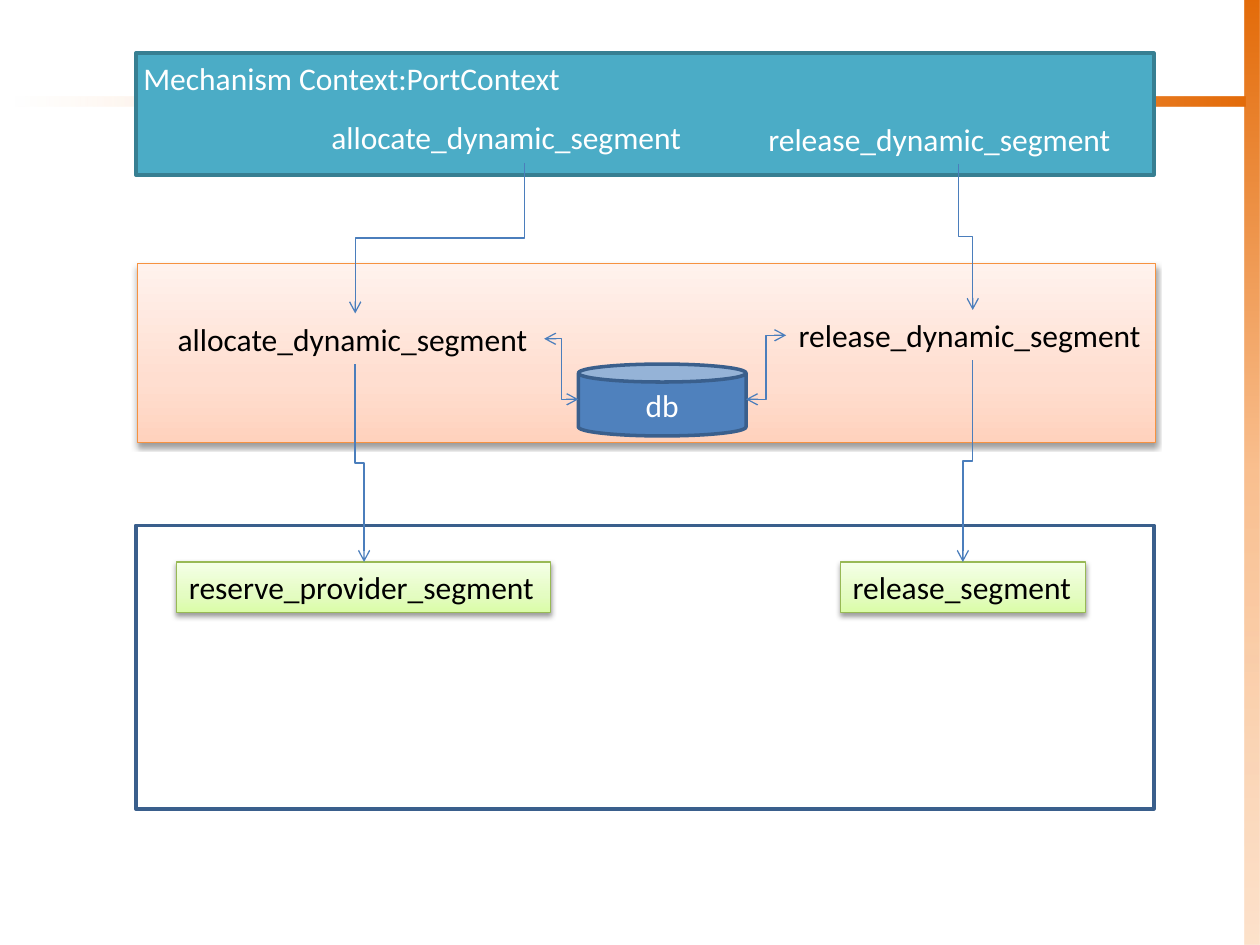
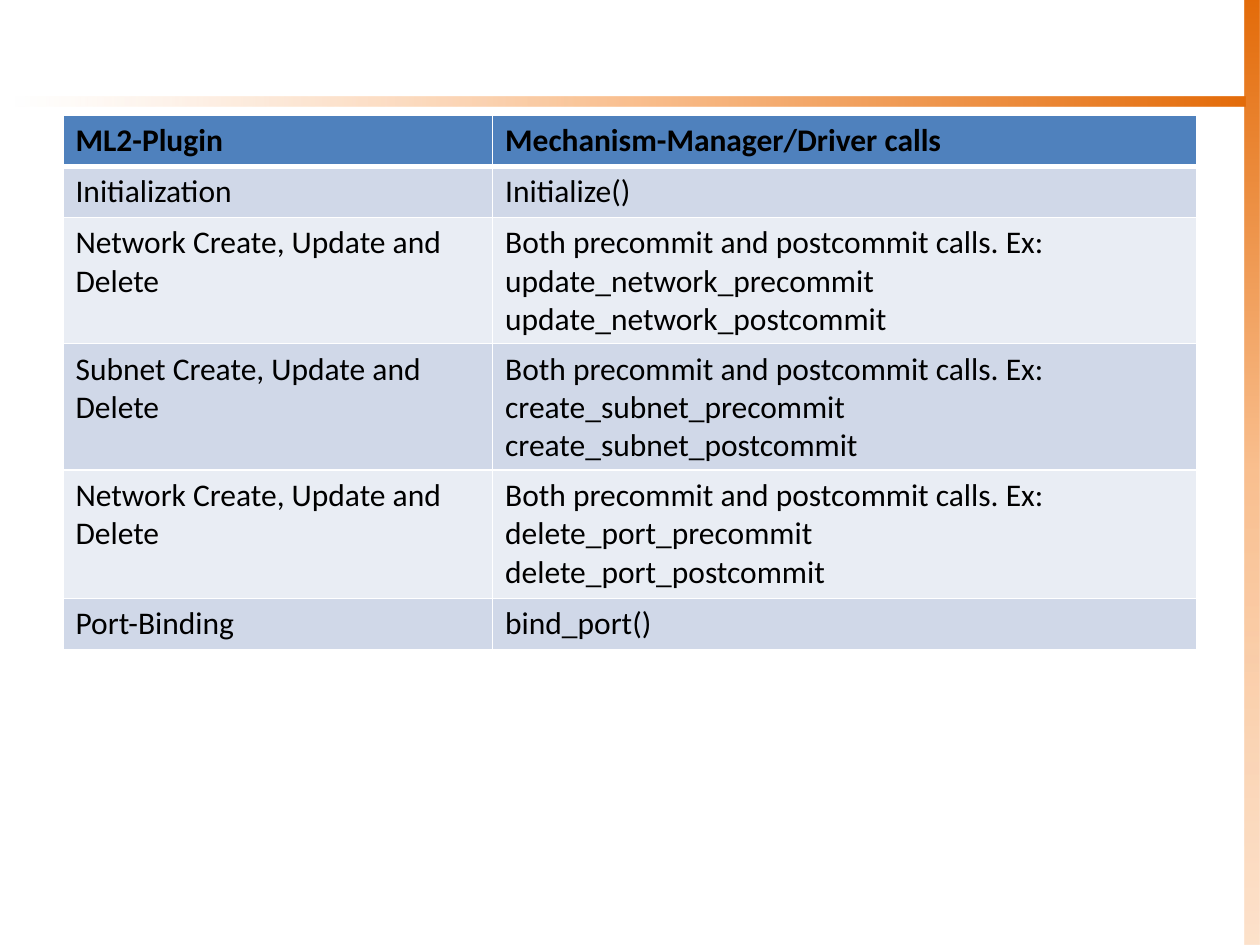
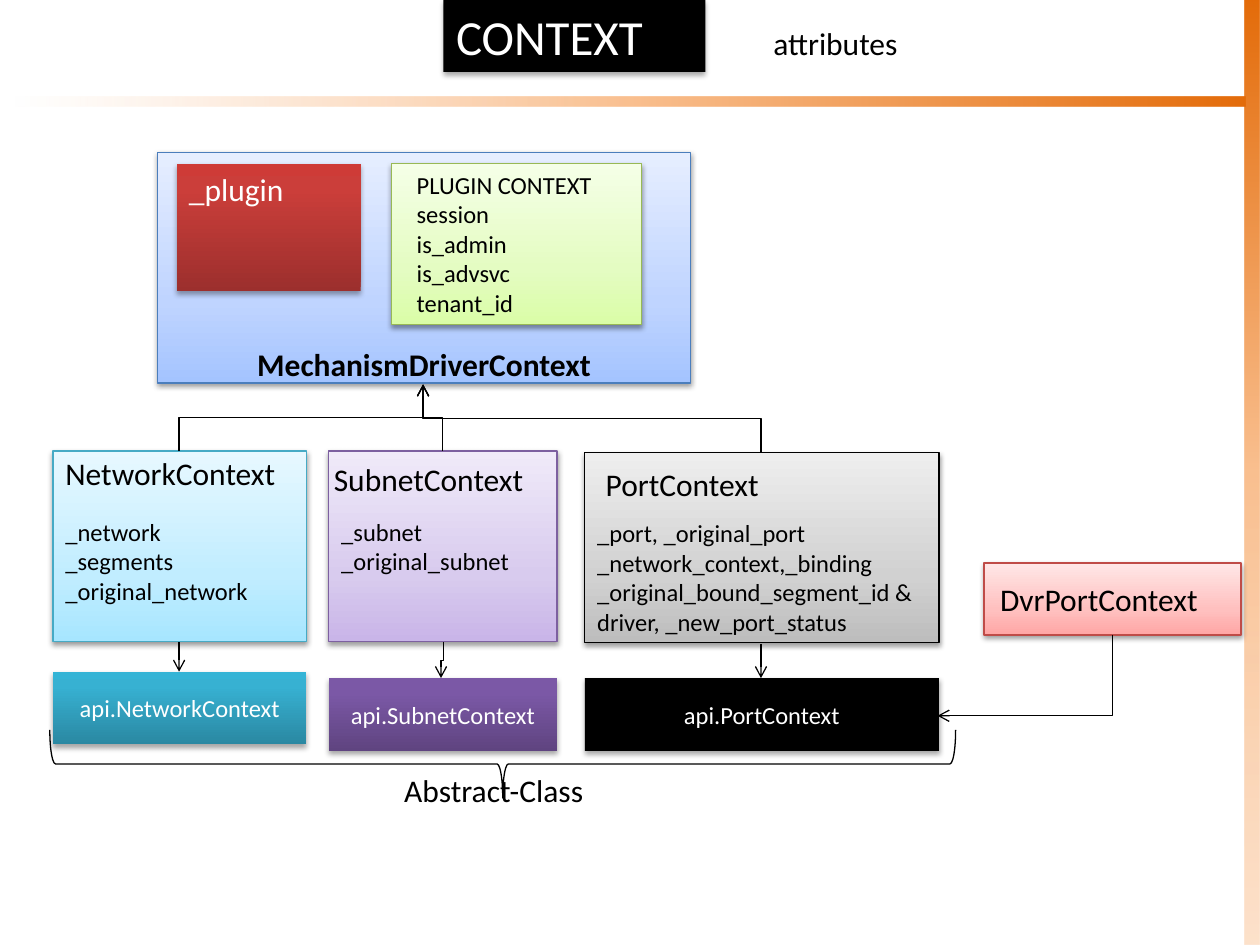
from dataclasses import dataclass
from typing import NamedTuple, Optional

from lxml.etree import SubElement
from pptx import Presentation
from pptx.dml.color import RGBColor
from pptx.enum.shapes import MSO_CONNECTOR as Route, MSO_SHAPE as Preset
from pptx.enum.text import MSO_ANCHOR as Anchor, MSO_AUTO_SIZE as AutoSize, PP_ALIGN as Align
from pptx.oxml.ns import qn
from pptx.shapes.autoshape import Shape
from pptx.slide import Slide
from pptx.util import Cm, Pt

FONT = "Calibri"
BLACK, WHITE, BLUE, NAVY = "000000", "FFFFFF", "4F81BD", "3A5F8C"
CONNECTOR_BLUE = "4B7EBC"
LABEL_HEIGHT = 1.02
TITLE_ONLY, BLANK = 5, 6


class Box(NamedTuple):
    """Left, top, width and height in centimetres."""
    left: float
    top: float
    width: float
    height: float = LABEL_HEIGHT


class Stop(NamedTuple):
    """One gradient stop, with position and opacity in percent."""
    position: int
    color: str
    opacity: int = 100


@dataclass(frozen=True)
class Style:
    """Fill, outline and shadow of a shape."""
    fill: Optional[str] = None
    stops: tuple[Stop, ...] = ()
    angle: int = 90
    outline: Optional[str] = None
    outline_width: float = 0.75
    shadow_opacity: int = 0
    shadow_distance: float = 1.6


@dataclass(frozen=True)
class Link:
    """A connector from one point to another, in centimetres."""
    begin: tuple[float, float]
    end: tuple[float, float]
    route: str = "vertical"
    both_ends: bool = False


@dataclass(frozen=True)
class ContextColumn:
    """A context class with its attributes and its abstract class."""
    panel: Box
    panel_style: Style
    heading: str
    heading_box: Box
    attributes: tuple[str, ...]
    api_top: float
    api_style: Style


def subtle(bottom: str, middle: str, top: str, outline: str) -> Style:
    """Return a pale gradient style with a thin outline."""
    stops = (Stop(0, bottom), Stop(35, middle), Stop(100, top))
    return Style(stops=stops, outline=outline, shadow_opacity=38)


def intense(bottom: str, middle: str, top: str) -> Style:
    """Return a strong gradient style without outline."""
    stops = (Stop(0, bottom), Stop(80, middle), Stop(100, top))
    return Style(stops=stops, shadow_opacity=35, shadow_distance=1.8)


GREEN = subtle("DAFDA7", "E4FCC2", "F5FFE7", "98B955")
SOLID_BLACK = Style(fill=BLACK, shadow_opacity=35, shadow_distance=1.8)
BAND_STOPS = (Stop(0, "E46C0A"), Stop(50, "FAC090"))
BANDS = (
    (Box(25.1, 0, 0.3, 19.05), Style(stops=(*BAND_STOPS, Stop(100, "FCD5B5", 69)), angle=270)),
    (Box(0.3, 1.95, 24.8, 0.19), Style(stops=(*BAND_STOPS, Stop(100, "FCD5B5", 0)), angle=180)),
)

SEGMENT_LABELS = (
    ("allocate_dynamic_segment", Box(6.43, 2.26, 8.28), WHITE),
    ("allocate_dynamic_segment", Box(3.33, 6.32, 7.65), BLACK),
    ("release_dynamic_segment", Box(15.24, 2.29, 8.18), WHITE),
    ("release_dynamic_segment", Box(15.85, 6.25, 7.49), BLACK),
    ("Mechanism Context:PortContext", Box(2.64, 1.07, 9.73), WHITE),
)
SEGMENT_LINKS = (
    Link((10.57, 3.28), (7.16, 6.32)),
    Link((7.16, 7.34), (7.34, 11.33)),
    Link((19.33, 3.3), (19.61, 6.25)),
    Link((19.61, 7.26), (19.41, 11.33)),
    Link((10.97, 6.83), (11.66, 8.05), "horizontal", both_ends=True),
    Link((15.85, 6.76), (15.04, 8.05), "horizontal", both_ends=True),
)

BOTH_CALLS = "Both precommit and postcommit calls. Ex:"
DRIVER_CALLS = (
    ("ML2-Plugin", ("Mechanism-Manager/Driver calls",), 1.03),
    ("Initialization", ("Initialize()",), 1.03),
    ("Network Create, Update and Delete",
     (f"{BOTH_CALLS} update_network_precommit", "update_network_postcommit"), 2.55),
    ("Subnet Create, Update and Delete",
     (BOTH_CALLS, "create_subnet_precommit", "create_subnet_postcommit"), 2.55),
    ("Network Create, Update and Delete",
     (f"{BOTH_CALLS} delete_port_precommit", "delete_port_postcommit"), 2.59),
    ("Port-Binding", ("bind_port()",), 1.03),
)

CONTEXT_COLUMNS = (
    ContextColumn(
        Box(11.79, 9.12, 7.14, 3.84), subtle("BDBDBD", "D1D1D1", "EEEEEE", BLACK),
        "PortContext", Box(11.96, 9.25, 3.89),
        ("_port, _original_port", "_network_context,_binding",
         "_original_bound_segment_id & driver, _new_port_status"),
        13.67, SOLID_BLACK),
    ContextColumn(
        Box(1.07, 9.09, 5.11, 3.84), subtle("A7E6FF", "C1EDFF", "E7F8FF", "46AAC5"),
        "NetworkContext", Box(1.07, 9.02, 5.08),
        ("_network", "_segments", "_original_network"),
        13.54, intense("2A88A2", "37B1D2", "34B4D6")),
    ContextColumn(
        Box(6.63, 9.09, 4.6, 3.84), subtle("C9B5E8", "D8CBEE", "F0EAF9", "7D60A0"),
        "SubnetContext", Box(6.48, 9.14, 4.75),
        ("_subnet", "_original_subnet"),
        13.67, intense("5F4480", "7B58A6", "7C57A8")),
)
CONTEXT_LABELS = (
    ("DvrPortContext", Box(19.91, 11.56, 4.9)),
    ("Abstract-Class", Box(7.9, 15.42, 4.67)),
    ("attributes", Box(15.34, 0.36, 3.15)),
)
DRIVER_CONTEXT_FOOT = (8.53, 7.75)
CONTEXT_LINKS = (
    Link((15.34, 9.12), DRIVER_CONTEXT_FOOT),
    Link((3.61, 9.09), DRIVER_CONTEXT_FOOT),
    Link((8.92, 9.09), DRIVER_CONTEXT_FOOT),
    Link((8.94, 12.95), (8.89, 13.67)),
    Link((15.34, 12.98), (15.34, 13.67), "straight"),
    Link((3.61, 12.95), (3.61, 13.54), "straight"),
    Link((22.43, 12.8), (18.9, 14.43), "corner"),
)


def rgb(color: str) -> RGBColor:
    """Turn a hex string into a colour."""
    return RGBColor.from_string(color)


def add_color(parent, color: str, opacity: int = 100) -> None:
    """Append a colour element, transparent when opacity is below 100."""
    element = SubElement(parent, qn("a:srgbClr"), val=str(rgb(color)))
    if opacity < 100:
        SubElement(element, qn("a:alpha"), val=str(opacity * 1000))


def apply_style(shape: Shape, style: Style) -> None:
    """Give a shape its fill, outline and shadow."""
    properties = shape.element.spPr
    if style.stops:
        shape.fill.gradient()
        shape.fill.gradient_angle = style.angle
        stop_list = properties.find(qn("a:gradFill")).find(qn("a:gsLst"))
        stop_list.clear()
        for stop in style.stops:
            element = SubElement(stop_list, qn("a:gs"), pos=str(stop.position * 1000))
            add_color(element, stop.color, stop.opacity)
    elif style.fill:
        shape.fill.solid()
        shape.fill.fore_color.rgb = rgb(style.fill)
    else:
        shape.fill.background()
    if style.outline:
        shape.line.color.rgb = rgb(style.outline)
        shape.line.width = Pt(style.outline_width)
    else:
        shape.line.fill.background()
    shape.shadow.inherit = False
    if style.shadow_opacity:
        shadow = SubElement(
            properties.find(qn("a:effectLst")), qn("a:outerShdw"),
            blurRad=str(Pt(3.1)), dist=str(Pt(style.shadow_distance)),
            dir="5400000", rotWithShape="0")
        add_color(shadow, BLACK, style.shadow_opacity)


def add_panel(slide: Slide, box: Box, style: Style, preset: Preset = Preset.RECTANGLE) -> Shape:
    """Draw a styled preset shape."""
    shape = slide.shapes.add_shape(preset, *map(Cm, box))
    apply_style(shape, style)
    return shape


def write_lines(frame, lines: tuple[str, ...], size: float = 18, color: str = BLACK,
                align: Align = Align.LEFT, bold: bool = False) -> None:
    """Fill a text frame with one paragraph per line."""
    frame.text = "\n".join(lines)
    for paragraph in frame.paragraphs:
        paragraph.alignment = align
        font = paragraph.font
        font.name, font.size, font.bold = FONT, Pt(size), bold
        font.color.rgb = rgb(color)


def write_panel(shape: Shape, lines: tuple[str, ...], anchor: Anchor = Anchor.TOP, **format) -> None:
    """Write wrapped text into a shape that keeps its size."""
    frame = shape.text_frame
    frame.word_wrap = True
    frame.auto_size = AutoSize.NONE
    frame.vertical_anchor = anchor
    write_lines(frame, lines, **format)


def write_label(shape: Shape, text: str, color: str = BLACK) -> None:
    """Write one unwrapped line that its shape fits."""
    frame = shape.text_frame
    frame.word_wrap = False
    frame.auto_size = AutoSize.SHAPE_TO_FIT_TEXT
    frame.vertical_anchor = Anchor.TOP
    write_lines(frame, (text,), color=color)


def add_label(slide: Slide, text: str, box: Box, color: str = BLACK) -> None:
    """Add a one-line text box."""
    write_label(slide.shapes.add_textbox(*map(Cm, box)), text, color)


def add_link(slide: Slide, link: Link, color: str) -> None:
    """Draw an arrow, turning the elbow when it leaves vertically."""
    (begin_x, begin_y), (end_x, end_y) = link.begin, link.end
    turned = link.route in ("vertical", "corner")
    if turned:
        center_x, center_y = (begin_x + end_x) / 2, (begin_y + end_y) / 2
        half_x, half_y = (end_x - begin_x) / 2, (end_y - begin_y) / 2
        begin_x, end_x = center_x - half_y, center_x + half_y
        begin_y, end_y = center_y + half_x, center_y - half_x
    kind = Route.STRAIGHT if link.route == "straight" else Route.ELBOW
    connector = slide.shapes.add_connector(kind, *map(Cm, (begin_x, begin_y, end_x, end_y)))
    connector.line.color.rgb = rgb(color)
    connector.line.width = Pt(0.75)
    properties = connector.element.spPr
    if turned:
        properties.find(qn("a:xfrm")).set("rot", "5400000")
    if link.route == "corner":
        properties.find(qn("a:prstGeom")).set("prst", "bentConnector2")
    line = properties.find(qn("a:ln"))
    for end in ("a:headEnd", "a:tailEnd") if link.both_ends else ("a:tailEnd",):
        SubElement(line, qn(end), type="arrow")
    SubElement(properties, qn("a:effectLst"))


def add_master_bands(presentation: Presentation, slide: Slide) -> None:
    """Draw the orange bands and move them to the slide master."""
    for number, (box, style) in enumerate(BANDS, start=20):
        element = add_panel(slide, box, style).element
        element.xpath("./p:nvSpPr/p:cNvPr")[0].set("id", str(number))
        presentation.slide_master.shapes.element.append(element)


def build_segment_slide(slide: Slide) -> None:
    """Draw the calls that allocate and release segments."""
    add_panel(slide, Box(2.77, 5.31, 20.52, 3.61), subtle("FFD2BD", "FFDED0", "FFF2ED", "F69240"))
    add_panel(slide, Box(2.74, 1.07, 20.52, 2.46),
              Style(fill="4BACC6", outline="377F92", outline_width=2))
    add_panel(slide, Box(2.74, 10.59, 20.52, 5.72), Style(outline=NAVY, outline_width=2))
    for text, box in (("reserve_provider_segment", Box(3.56, 11.33, 7.54)),
                      ("release_segment", Box(16.94, 11.33, 4.95))):
        write_label(add_panel(slide, box, GREEN), text)
    database = add_panel(slide, Box(11.66, 7.34, 3.38, 1.45),
                         Style(fill=BLUE, outline=NAVY, outline_width=2), Preset.CAN)
    write_panel(database, ("db",), Anchor.MIDDLE, color=WHITE, align=Align.CENTER)
    for text, box, color in SEGMENT_LABELS:
        add_label(slide, text, box, color)
    for link in SEGMENT_LINKS:
        add_link(slide, link, CONNECTOR_BLUE)


def add_borders(properties, row: int) -> None:
    """Give a cell white borders, thicker below the header."""
    widths = {"L": 1, "R": 1, "T": 3 if row == 1 else 1, "B": 3 if row == 0 else 1}
    for index, (side, width) in enumerate(widths.items()):
        border = SubElement(properties, qn(f"a:ln{side}"), w=str(Pt(width)))
        add_color(SubElement(border, qn("a:solidFill")), WHITE)
        properties.insert(index, border)


def build_calls_slide(slide: Slide) -> None:
    """Draw the table of plugin events and driver calls."""
    frame = slide.shapes.add_table(len(DRIVER_CALLS), 2, *map(Cm, Box(1.27, 2.32, 22.86, 10.78)))
    table = frame.table
    for column, width in zip(table.columns, (8.66, 14.2)):
        column.width = Cm(width)
    for row, (event, calls, height) in enumerate(DRIVER_CALLS):
        table.rows[row].height = Cm(height)
        fill = BLUE if row == 0 else ("E9EDF4", "D0D8E8")[row % 2]
        for column, lines in enumerate(((event,), calls)):
            cell = table.cell(row, column)
            cell.fill.solid()
            cell.fill.fore_color.rgb = rgb(fill)
            write_lines(cell.text_frame, lines, bold=row == 0)
    for index, properties in enumerate(list(frame.element.iter(qn("a:tcPr")))):
        add_borders(properties, index // 2)


def add_context_column(slide: Slide, column: ContextColumn) -> None:
    """Draw a context class above its abstract class."""
    panel = add_panel(slide, column.panel, column.panel_style)
    panel.text_frame.margin_top = Cm(1.33)
    write_panel(panel, column.attributes, size=14)
    add_label(slide, column.heading, column.heading_box)
    api_box = Box(column.panel.left, column.api_top, column.panel.width, 1.47)
    write_panel(add_panel(slide, api_box, column.api_style), (f"api.{column.heading}",),
                Anchor.MIDDLE, size=14, color=WHITE, align=Align.CENTER)


def build_context_slide(slide: Slide) -> None:
    """Draw the context classes and their attributes."""
    title = slide.shapes.title
    title.left, title.top, title.width, title.height = map(Cm, Box(8.94, 0, 5.28, 1.45))
    apply_style(title, SOLID_BLACK)
    write_panel(title, ("CONTEXT",), size=28, color=WHITE)

    driver = add_panel(slide, Box(3.18, 3.07, 10.74, 4.65),
                       subtle("A4C4FF", "BFD4FF", "E6EEFF", CONNECTOR_BLUE))
    driver.text_frame.margin_bottom = 0
    write_panel(driver, ("MechanismDriverContext",), Anchor.BOTTOM, align=Align.CENTER, bold=True)
    add_panel(slide, Box(7.9, 3.3, 5.03, 3.25), GREEN)
    plugin_context = slide.shapes.add_textbox(*map(Cm, Box(8.15, 3.3, 5.18, 3.25)))
    write_panel(plugin_context,
                ("PLUGIN CONTEXT", "session", "is_admin", "is_advsvc", "tenant_id"), size=14)
    plugin = add_panel(slide, Box(3.56, 3.3, 3.71, 2.57), intense("9C2F2D", "CB3E3A", "CE3B37"))
    write_panel(plugin, ("_plugin",), color=WHITE)

    for column in CONTEXT_COLUMNS:
        add_context_column(slide, column)
    add_panel(slide, Box(19.84, 11.35, 5.18, 1.45), subtle("FFA6A5", "FFC0BF", "FFE7E7", "BF4C48"))
    brace = add_panel(slide, Box(9.45, 6.27, 1.37, 18.26), Style(outline=BLACK), Preset.LEFT_BRACE)
    brace.rotation = 270
    for text, box in CONTEXT_LABELS:
        add_label(slide, text, box)
    for link in CONTEXT_LINKS:
        add_link(slide, link, BLACK)


def main() -> None:
    """Build the presentation and save it."""
    presentation = Presentation()
    presentation.slide_width, presentation.slide_height = Cm(25.4), Cm(19.05)
    layouts = presentation.slide_layouts
    segment_slide, calls_slide, context_slide = (
        presentation.slides.add_slide(layouts[index]) for index in (BLANK, BLANK, TITLE_ONLY))
    add_master_bands(presentation, segment_slide)
    build_segment_slide(segment_slide)
    build_calls_slide(calls_slide)
    build_context_slide(context_slide)
    presentation.save("out.pptx")


if __name__ == "__main__":
    main()
